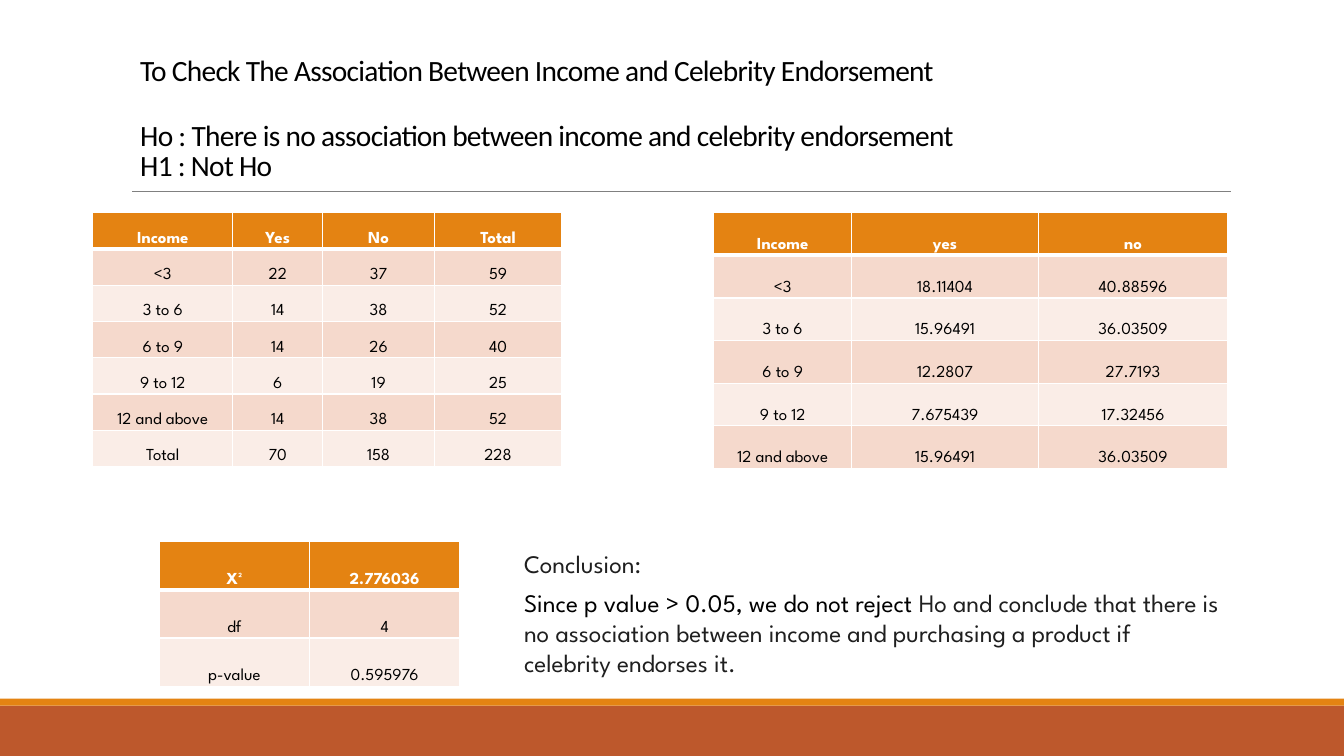
from dataclasses import dataclass

from lxml.etree import SubElement
from pptx import Presentation
from pptx.dml.color import RGBColor
from pptx.enum.shapes import MSO_CONNECTOR as Connector, MSO_SHAPE as Shape
from pptx.enum.text import MSO_ANCHOR as Anchor, MSO_AUTO_SIZE as AutoSize, PP_ALIGN as Align
from pptx.oxml.ns import qn
from pptx.util import Emu, Inches, Pt

SLIDE_WIDTH, SLIDE_HEIGHT = Inches(13.33), Inches(7.5)
WHITE = RGBColor(0xFF, 0xFF, 0xFF)
BLACK = RGBColor(0x00, 0x00, 0x00)
CHARCOAL = RGBColor(0x1F, 0x1F, 0x1F)
GRAY = RGBColor(0x80, 0x80, 0x80)
ORANGE = RGBColor(0xE4, 0x83, 0x12)
RUST = RGBColor(0xBD, 0x58, 0x2C)
DARK_BAND = RGBColor(0xF5, 0xD9, 0xCC)
LIGHT_BAND = RGBColor(0xFA, 0xED, 0xE7)
TITLE_FONT, BODY_FONT = "Calibri", "League Spartan"


def across(percent: float) -> Emu:
    return Emu(round(SLIDE_WIDTH * percent / 100))


def down(percent: float) -> Emu:
    return Emu(round(SLIDE_HEIGHT * percent / 100))


@dataclass(frozen=True)
class Box:
    """A rectangle in percent of the slide's width and height."""
    left: float
    top: float
    width: float
    height: float

    def lengths(self) -> tuple[Emu, Emu, Emu, Emu]:
        return across(self.left), down(self.top), across(self.width), down(self.height)


@dataclass(frozen=True)
class Bar:
    box: Box
    color: RGBColor


@dataclass(frozen=True)
class Grid:
    left: float
    top: float
    columns: tuple[float, ...]
    row_height: float
    rows: tuple[tuple[str, ...], ...]


BARS = (
    Bar(Box(0, 93.33, 100, 6.67), RUST),
    Bar(Box(0, 92.4, 100, 0.93), ORANGE),
)

OBSERVED = Grid(6.9, 28.13, (10.43, 6.68, 8.33, 9.45), 4.8, (
    ("Income", "Yes", "No", "Total"),
    ("<3", "22", "37", "59"),
    ("3 to 6", "14", "38", "52"),
    ("6 to 9", "14", "26", "40"),
    ("9 to 12", "6", "19", "25"),
    ("12 and above", "14", "38", "52"),
    ("Total", "70", "158", "228"),
))
EXPECTED = Grid(53.1, 28.13, (10.28, 13.88, 14.1), 5.64, (
    ("Income", "yes", "no"),
    ("<3", "18.11404", "40.88596"),
    ("3 to 6", "15.96491", "36.03509"),
    ("6 to 9", "12.2807", "27.7193"),
    ("9 to 12", "7.675439", "17.32456"),
    ("12 and above", "15.96491", "36.03509"),
))
TEST_RESULT = Grid(11.85, 71.6, (11.18, 11.18), 6.4, (
    ("X²", "2.776036"),
    ("df", "4"),
    ("p-value", "0.595976"),
))

TITLE_LINES = (
    "To Check The Association Between Income and Celebrity Endorsement",
    "Ho : There is no association between income and celebrity endorsement",
    "H1 : Not Ho",
)
CONCLUSION = (
    (("Conclusion:", CHARCOAL),),
    (("Since p value > 0.05, we do not reject ", BLACK),
     ("Ho and conclude that there is no association between income and "
      "purchasing a product if celebrity endorses it.", CHARCOAL)),
)


def add_span(para, text: str, font: str, size: float, color: RGBColor, bold: bool = False):
    span = para.add_run()
    span.text = text
    span.font.name = font
    span.font.size = Pt(size)
    span.font.color.rgb = color
    span.font.bold = bold
    return span


def next_para(frame, index: int):
    return frame.add_paragraph() if index else frame.paragraphs[0]


def add_bar(page, bar: Bar) -> None:
    shape = page.shapes.add_shape(Shape.RECTANGLE, *bar.box.lengths())
    shape.shadow.inherit = False
    shape.fill.solid()
    shape.fill.fore_color.rgb = bar.color
    shape.line.fill.background()


def add_rule(page, left: float, right: float, top: float) -> None:
    rule = page.shapes.add_connector(
        Connector.STRAIGHT, across(left), down(top), across(right), down(top))
    rule.line.color.rgb = GRAY
    rule.line.width = Pt(0.5)
    SubElement(rule._element.spPr, qn("a:effectLst"))


def fill_title(page, box: Box) -> None:
    title = page.shapes.title
    title.left, title.top, title.width, title.height = box.lengths()
    frame = title.text_frame
    frame.word_wrap = True
    frame.auto_size = AutoSize.NONE
    frame.vertical_anchor = Anchor.BOTTOM
    for index, line in enumerate(TITLE_LINES):
        para = next_para(frame, index)
        para.alignment = Align.LEFT
        para.line_spacing = 0.85
        para.space_before = Pt(0)
        para.space_after = Pt(0 if index else 25)
        span = add_span(para, line, TITLE_FONT, 21, BLACK)
        span.font._element.set("spc", "-50")


def add_borders(cell, top: float, bottom: float) -> None:
    properties = cell._tc.get_or_add_tcPr()
    for side, width in (("L", 1), ("R", 1), ("T", top), ("B", bottom)):
        line = SubElement(properties, qn(f"a:ln{side}"), w=str(Pt(width)))
        fill = SubElement(line, qn("a:solidFill"))
        SubElement(fill, qn("a:srgbClr"), val=str(WHITE))


def add_grid(page, grid: Grid) -> None:
    box = Box(grid.left, grid.top, sum(grid.columns), grid.row_height * len(grid.rows))
    table = page.shapes.add_table(
        len(grid.rows), len(grid.columns), *box.lengths()).table
    for column, width in zip(table.columns, grid.columns):
        column.width = across(width)
    for row_index, texts in enumerate(grid.rows):
        table.rows[row_index].height = down(grid.row_height)
        header = row_index == 0
        band = ORANGE if header else DARK_BAND if row_index % 2 else LIGHT_BAND
        for column_index, text in enumerate(texts):
            cell = table.cell(row_index, column_index)
            # A thick line parts the header from the first row
            add_borders(cell, 3 if row_index == 1 else 1, 3 if header else 1)
            cell.fill.solid()
            cell.fill.fore_color.rgb = band
            cell.vertical_anchor = Anchor.BOTTOM
            cell.margin_left = cell.margin_right = Inches(0.03)
            cell.margin_top = cell.margin_bottom = Inches(0.02)
            para = cell.text_frame.paragraphs[0]
            para.alignment = Align.CENTER
            add_span(para, text, BODY_FONT, 12, WHITE if header else BLACK, header)


def add_conclusion(page, box: Box) -> None:
    frame = page.shapes.add_textbox(*box.lengths()).text_frame
    frame.word_wrap = True
    frame.auto_size = AutoSize.SHAPE_TO_FIT_TEXT
    for index, spans in enumerate(CONCLUSION):
        para = next_para(frame, index)
        para.space_after = Pt(6.2)
        for text, color in spans:
            add_span(para, text, BODY_FONT, 18, color)


def main() -> None:
    deck = Presentation()
    deck.slide_width, deck.slide_height = SLIDE_WIDTH, SLIDE_HEIGHT
    page = deck.slides.add_slide(deck.slide_layouts[5])
    # Footer bars and the rule under the title
    for bar in BARS:
        add_bar(page, bar)
    add_rule(page, 9.83, 91.58, 25.33)
    # Hypotheses
    fill_title(page, Box(9.68, 4.27, 86.18, 20.53))
    # Counts and test result
    for grid in (OBSERVED, EXPECTED, TEST_RESULT):
        add_grid(page, grid)
    add_conclusion(page, Box(38.25, 71.87, 53.48, 18.53))
    deck.save("out.pptx")


if __name__ == "__main__":
    main()
